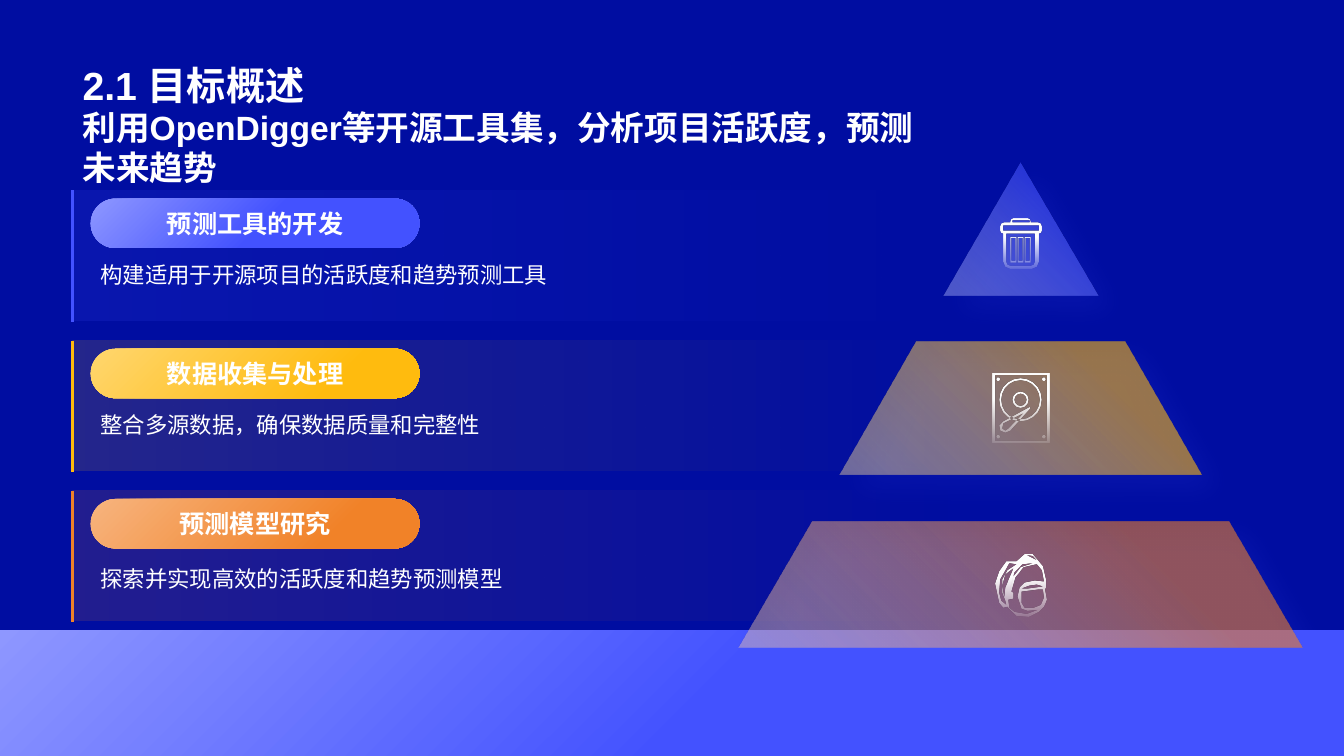
from dataclasses import dataclass
from math import cos, pi, sin

from lxml import etree
from pptx import Presentation
from pptx.dml.color import RGBColor
from pptx.enum import shapes as kinds, text as enums
from pptx.oxml import ns
from pptx.util import Inches, Pt

COLORS = {"navy": "000DA1", "white": "FFFFFF", "blue": "4352FF", "sky": "8E97FF",
          "mist": "B4BAFF", "gold": "FFBB0E", "sand": "FFD66E", "cream": "FFE49F",
          "orange": "F18228", "peach": "F7B47E", "blush": "F9CDA9"}
Point = tuple[float, float]
Outline = list[Point]
Stop = tuple[int, str, int]  # position %, colour, opacity %


@dataclass
class Row:
    head: str
    body: str
    hue: str
    light: str
    pale: str
    mid: int
    text_top: float
    tier: Outline
    icon: list[Outline]


def rgb(name: str) -> RGBColor:
    return RGBColor.from_string(COLORS[name])


def sub(parent, tag: str, **attrs):
    return etree.SubElement(parent, ns.qn(tag), {k: str(v) for k, v in attrs.items()})


def tint(parent, name: str, alpha: int) -> None:
    color = sub(parent, "a:srgbClr", val=COLORS[name])
    sub(color, "a:alpha", val=alpha * 1000)


def blend(shape, stops: list[Stop], angle: int | None) -> None:
    """Fill with a gradient; no angle means circles around the top right corner."""
    shape.shadow.inherit = False
    shape.line.fill.background()
    shape.fill.gradient()
    grad = shape._element.spPr.find(ns.qn("a:gradFill"))
    for child in list(grad):
        grad.remove(child)
    group = sub(grad, "a:gsLst")
    for pos, name, alpha in stops:
        tint(sub(group, "a:gs", pos=pos * 1000), name, alpha)
    if angle is None:
        sub(sub(grad, "a:path", path="circle"), "a:fillToRect", l=100000, b=100000)
    else:
        sub(grad, "a:lin", ang=angle * 60000, scaled=0)


def glow(shape) -> None:
    effects = shape._element.spPr.find(ns.qn("a:effectLst"))
    outer = sub(effects, "a:outerShdw", blurRad=Pt(20), dist=Pt(14),
                dir=45 * 60000, algn="ctr", rotWithShape=0)
    tint(outer, "blue", 20)


def block(slide, kind, box: tuple, stops: list[Stop], angle: int):
    shape = slide.shapes.add_shape(kind, *map(Inches, box))
    blend(shape, stops, angle)
    return shape


def draw(slide, outlines: list[Outline]):
    first, *rest = outlines
    pen = slide.shapes.build_freeform(*map(Inches, first[0]))
    pen.add_line_segments([tuple(map(Inches, p)) for p in first[1:]])
    for line in rest:
        pen.move_to(*map(Inches, line[0]))
        pen.add_line_segments([tuple(map(Inches, p)) for p in line[1:]])
    return pen.convert_to_shape()


def write(shape, words: str, size: int, bold: bool, anchor: str = "TOP",
          align: str = "LEFT", spacing: float = 1.0) -> None:
    frame = shape.text_frame
    frame.word_wrap = True
    frame.vertical_anchor = getattr(enums.MSO_ANCHOR, anchor)
    para = frame.paragraphs[0]
    para.text = words
    para.alignment = getattr(enums.PP_ALIGN, align)
    para.line_spacing = spacing
    font = para.font
    font.name, font.size, font.bold = "Arial", Pt(size), bold
    font.color.rgb = rgb("white")


def label(slide, box: tuple, words: str, size: int, bold: bool, **style) -> None:
    write(slide.shapes.add_textbox(*map(Inches, box)), words, size, bold, **style)


def panel(l: float, t: float, r: float, b: float, low: float = 0, top: float = 0) -> Outline:
    """Rectangle with its own radius for the lower and the upper corners."""
    corners = [(r - low, b - low, low, 0), (l + low, b - low, low, 1),
               (l + top, t + top, top, 2), (r - top, t + top, top, 3)]
    return [(x + rad * cos(a), y + rad * sin(a))
            for x, y, rad, turn in corners
            for a in ((turn + i / 2) * pi / 2 for i in range(3 if rad else 1))]


def disc(x: float, y: float, rad: float, sides: int) -> Outline:
    return [(x + rad * cos(i * 2 * pi / sides), y + rad * sin(i * 2 * pi / sides))
            for i in range(sides)]


BIN = [panel(9.92, 2.21, 10.33, 2.32, 0.03, 0.04), panel(9.95, 2.24, 10.3, 2.29),
       panel(9.95, 2.32, 10.3, 2.66, 0.07), panel(9.98, 2.32, 10.26, 2.63, 0.04),
       panel(10.02, 2.17, 10.22, 2.21, 0, 0.03), panel(10.04, 2.19, 10.21, 2.21)]
for x in (10.05, 10.12, 10.19):
    BIN += [panel(x - 0.03, 2.35, x + 0.03, 2.6), panel(x - 0.02, 2.36, x + 0.02, 2.58)]

DISK = [panel(9.84, 3.71, 10.41, 4.39), panel(9.87, 3.73, 10.38, 4.37),
        *[disc(x, y, 0.02, 6) for x in (9.9, 10.35) for y in (3.77, 4.33)],
        *[disc(10.12, 3.97, rad, 20) for rad in (0.21, 0.19)],
        *[disc(10.12, 3.97, rad, 12) for rad in (0.08, 0.06)],
        [(10.22, 4.05), (10.02, 4.27), (9.97, 4.29), (9.92, 4.27),
         (9.91, 4.22), (9.95, 4.18), (10.21, 4.04)],
        [(10.15, 4.1), (10, 4.25), (9.97, 4.27), (9.94, 4.25), (9.95, 4.2)]]

BAG = [[(10.37, 5.83), (10.37, 5.75), (10.34, 5.62), (10.3, 5.57), (10.24, 5.5),
        (10.16, 5.5), (10.08, 5.57), (9.98, 5.57), (9.91, 5.67), (9.87, 5.79),
        (9.91, 5.98), (9.95, 6.03), (9.99, 6.02), (10.08, 6.11), (10.2, 6.12),
        (10.3, 6.07), (10.35, 6.02), (10.38, 5.95), (10.36, 5.85)],
       [(10.24, 5.52), (10.28, 5.56), (10.18, 5.51)],
       [(9.97, 5.83), (9.96, 5.93), (9.94, 5.81), (9.97, 5.7), (10.05, 5.64)],
       [(9.97, 5.96), (9.98, 6), (9.93, 5.96), (9.91, 5.88), (9.92, 5.75),
        (10.01, 5.59), (10.08, 5.6), (9.99, 5.66), (9.94, 5.75), (9.94, 5.88)],
       [(10.25, 6.03), (10.16, 6.03), (10.13, 5.98), (10.13, 5.87), (10.29, 5.85),
        (10.34, 5.85), (10.35, 5.93), (10.32, 6)],
       [(10.13, 5.84), (10.21, 5.81), (10.28, 5.8), (10.34, 5.82), (10.19, 5.84)],
       [(10.26, 5.76), (10.16, 5.78), (10.11, 5.83), (10.09, 5.92), (10.13, 6.04),
        (10.19, 6.06), (10.29, 6.05), (10.18, 6.09), (10.06, 6.07), (10.01, 6.03),
        (10, 5.95), (10.05, 5.94), (10.05, 5.88), (10.03, 5.87), (10.07, 5.73),
        (10.15, 5.63), (10.28, 5.6), (10.33, 5.66), (10.35, 5.77)],
       [(10.01, 5.87), (10.06, 5.68), (10.14, 5.6), (10.24, 5.59), (10.12, 5.63),
        (10.05, 5.72)]]

ROWS = [
    Row("预测工具的开发", "构建适用于开源项目的活跃度和趋势预测工具", "blue", "sky", "mist", 53, 2.49,
        [(10.12, 1.61), (10.89, 2.93), (9.36, 2.93)], BIN),
    Row("数据收集与处理", "整合多源数据，确保数据质量和完整性", "gold", "sand", "cream", 74, 3.98,
        [(9.09, 3.39), (11.16, 3.39), (11.92, 4.71), (8.33, 4.71)], DISK),
    Row("预测模型研究", "探索并实现高效的活跃度和趋势预测模型", "orange", "peach", "blush", 74, 5.5,
        [(8.06, 5.17), (12.19, 5.17), (12.92, 6.42), (7.33, 6.42)], BAG),
]


def goal(slide, row: Row, top: float) -> None:
    rect, pill = kinds.MSO_SHAPE.RECTANGLE, kinds.MSO_SHAPE.ROUNDED_RECTANGLE
    block(slide, rect, (0.72, top, 9.02, 1.29), [(0, row.hue, 15), (100, row.hue, 0)], 0)
    edge = slide.shapes.add_connector(kinds.MSO_CONNECTOR.STRAIGHT, Inches(0.72), Inches(top),
                                      Inches(0.72), Inches(top + 1.3))
    edge.line.color.rgb, edge.line.width = rgb(row.hue), Pt(2)
    sub(edge._element.spPr, "a:effectLst")
    tier = draw(slide, [row.tier])
    blend(tier, [(27, row.hue, 58), (97, row.pale, 43)], None)
    glow(tier)
    blend(draw(slide, row.icon), [(0, "white", 16), (63, "white", 100)], 270)
    badge = block(slide, pill, (0.9, top + 0.08, 3.26, 0.49),
                  [(0, row.light, 100), (row.mid, row.hue, 100)], 45)
    badge.adjustments[0] = 0.5
    write(badge, row.head, 18, True, "MIDDLE", "CENTER")
    label(slide, (0.9, row.text_top, 7.69, 0.67), row.body, 16, False, spacing=1.2)


def main() -> None:
    deck = Presentation()
    deck.slide_width, deck.slide_height = Inches(13.33), Inches(7.5)
    slide = deck.slides.add_slide(deck.slide_layouts[6])
    slide.background.fill.solid()
    slide.background.fill.fore_color.rgb = rgb("navy")
    block(slide, kinds.MSO_SHAPE.RECTANGLE, (0, 6.25, 13.33, 1.25),
          [(0, "sky", 100), (53, "blue", 100)], 45)
    label(slide, (0.72, 0.14, 11.88, 0.98), "2.1 目标概述", 28, True, anchor="BOTTOM")
    label(slide, (0.72, 1.12, 8.62, 0.68),
          "利用OpenDigger等开源工具集，分析项目活跃度，预测未来趋势", 24, True, anchor="MIDDLE")
    for i, row in enumerate(ROWS):
        goal(slide, row, 1.89 + 1.49 * i)
    deck.save("out.pptx")


if __name__ == "__main__":
    main()
